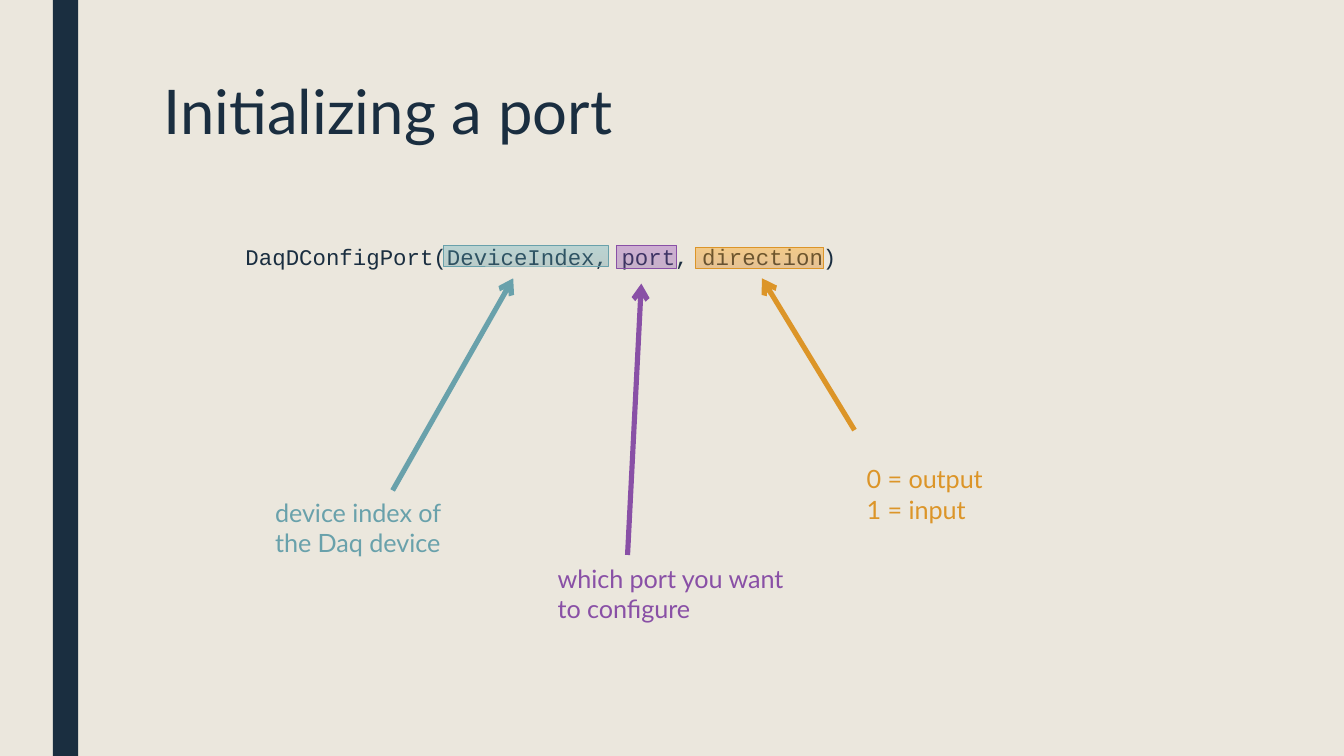
from lxml import etree
from pptx import Presentation
from pptx.dml.color import RGBColor
from pptx.enum import shapes, text
from pptx.oxml.ns import qn
from pptx.util import Cm, Pt

CREAM = RGBColor(0xEB, 0xE7, 0xDD)
NAVY = RGBColor(0x1A, 0x2E, 0x40)
TEAL = RGBColor(0x69, 0xA1, 0xAB)
TEAL_TINT = (RGBColor(0x5A, 0x98, 0xA3), RGBColor(0x58, 0xAC, 0xBB))
PURPLE = RGBColor(0x89, 0x50, 0xA6)
PURPLE_TINT = (RGBColor(0x81, 0x46, 0xA3), RGBColor(0x90, 0x3B, 0xBC))
ORANGE = RGBColor(0xDC, 0x95, 0x28)
ORANGE_TINT = (RGBColor(0xDD, 0x89, 0x23), RGBColor(0xFF, 0x9C, 0x05))


def lengths(values):
    """Turn centimetre numbers into lengths."""
    return [Cm(v) for v in values]


def add_text(s, box, lines, font, size, color):
    """Place wrapped text, one paragraph per line, in the box."""
    sp = s.shapes.add_textbox(*lengths(box))
    tf = sp.text_frame
    tf.word_wrap = True
    tf.text = "\n".join(lines)
    for p in tf.paragraphs:
        p.font.name, p.font.size = font, Pt(size)
        p.font.color.rgb = color
    return tf


def add_rect(s, box):
    """Place a rectangle without a shadow in the box."""
    sp = s.shapes.add_shape(shapes.MSO_SHAPE.RECTANGLE, *lengths(box))
    sp.shadow.inherit = False
    return sp


def add_side_bar(s, box):
    """Draw the dark bar along the left edge."""
    sp = add_rect(s, box)
    sp.fill.solid()
    sp.fill.fore_color.rgb = NAVY
    sp.line.fill.background()


def add_title(s, box):
    """Write the slide title."""
    tf = add_text(s, box, ["Initializing a port"], "Lato", 33, NAVY)
    tf.paragraphs[0].line_spacing = 0.89


def add_code(s, box):
    """Write the function call."""
    call = "DaqDConfigPort(DeviceIndex, port, direction)"
    tf = add_text(s, box, [call], "Courier New", 12, NAVY)
    tf.margin_top = Cm(0.19)
    p = tf.paragraphs[0]
    p.line_spacing = 0.94
    p.space_after = Pt(1.5)


def add_highlight(s, box, color, tint, opacity):
    """Cover one argument with a translucent gradient."""
    sp = add_rect(s, box)
    sp.fill.gradient()
    sp.fill.gradient_angle = 90
    for stop, rgb in zip(sp.fill.gradient_stops, tint):
        stop.color.rgb = rgb
    for clr in sp.fill._xPr.iter(qn("a:srgbClr")):
        etree.SubElement(clr, qn("a:alpha"), val=str(opacity * 1000))
    sp.line.color.rgb = color
    sp.line.width = Pt(0.5)


def add_arrow(s, ends, color):
    """Draw an arrow from a label to its argument."""
    cx = s.shapes.add_connector(shapes.MSO_CONNECTOR.STRAIGHT, *lengths(ends))
    cx.line.color.rgb = color
    cx.line.width = Pt(2.75)
    etree.SubElement(cx.line._get_or_add_ln(), qn("a:tailEnd"), type="arrow")
    etree.SubElement(cx._element.spPr, qn("a:effectLst"))


def add_callout(s, box, lines, color, tint, opacity, argument, ends):
    """Highlight an argument and explain it in the label box."""
    add_highlight(s, argument, color, tint, opacity)
    add_arrow(s, ends, color)
    tf = add_text(s, box, lines, "Lato", 13.5, color)
    tf.auto_size = text.MSO_AUTO_SIZE.SHAPE_TO_FIT_TEXT


def main():
    """Build the slide and save it."""
    prs = Presentation()
    prs.slide_width, prs.slide_height = Cm(25.4), Cm(14.29)
    s = prs.slides.add_slide(prs.slide_layouts[6])
    s.background.fill.solid()
    s.background.fill.fore_color.rgb = CREAM

    add_side_bar(s, (1, 0, 0.48, 14.29))
    add_title(s, (2.84, 1.42, 20.02, 3.1))
    add_code(s, (4.39, 4.45, 14.73, 8.31))
    add_callout(s, (4.95, 9.27, 4.42, 1.42), ["device index of the Daq device"],
                TEAL, TEAL_TINT, 32,
                argument=(8.38, 4.65, 3.12, 0.38), ends=(7.42, 9.27, 9.7, 5.26))
    add_callout(s, (10.29, 10.52, 4.93, 1.42), ["which port you want to configure"],
                PURPLE, PURPLE_TINT, 33,
                argument=(11.65, 4.65, 1.14, 0.43), ends=(11.86, 10.49, 12.12, 5.36))
    add_callout(s, (16.13, 8.64, 4.34, 1.42), ["0 = output", "1 = input"],
                ORANGE, ORANGE_TINT, 38,
                argument=(13.15, 4.67, 2.41, 0.41), ends=(16.15, 8.13, 14.4, 5.26))
    prs.save("out.pptx")


if __name__ == "__main__":
    main()
